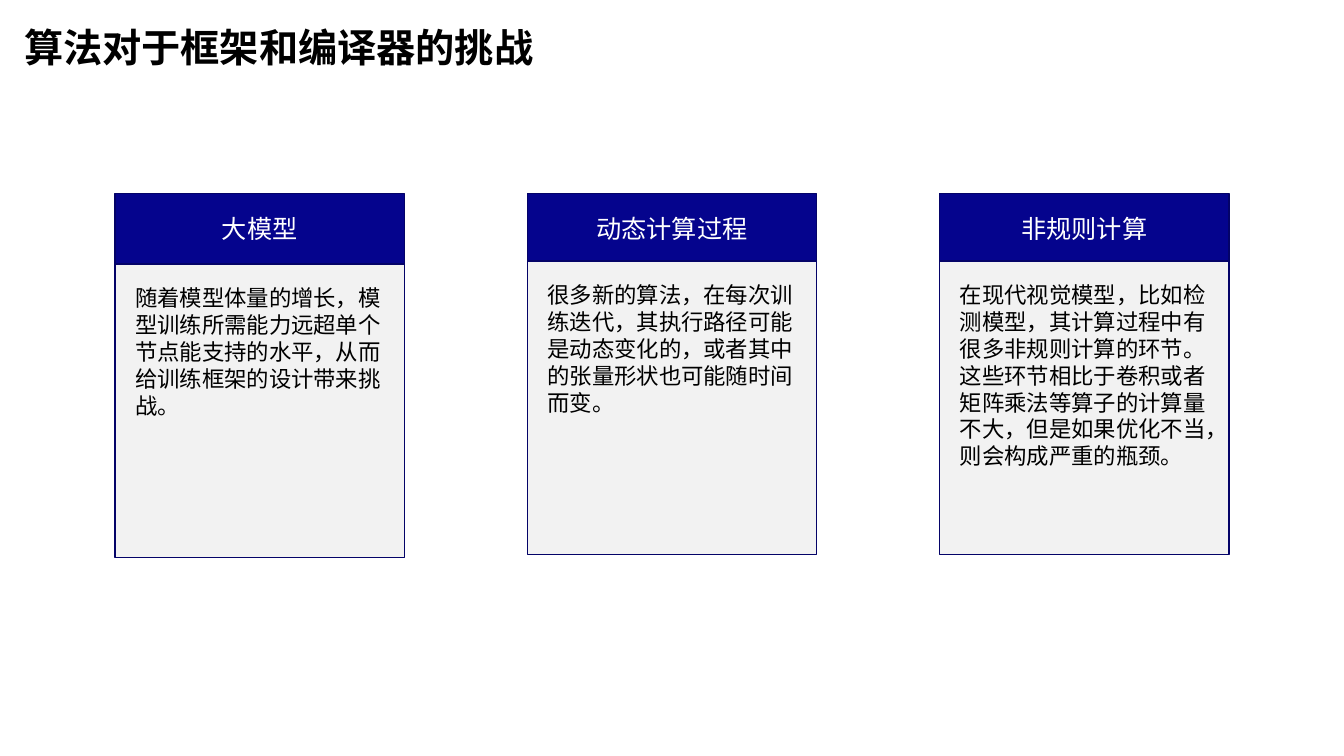
from lxml import etree
from pptx import Presentation
from pptx.dml.color import RGBColor
from pptx.enum.shapes import MSO_SHAPE
from pptx.enum.text import MSO_ANCHOR, MSO_AUTO_SIZE, PP_ALIGN
from pptx.oxml.ns import qn
from pptx.util import Pt

PX = 9144
RECT = MSO_SHAPE.RECTANGLE
TOP, MID, LOW = MSO_ANCHOR.TOP, MSO_ANCHOR.MIDDLE, MSO_ANCHOR.BOTTOM
LEFT, MIDST = PP_ALIGN.LEFT, PP_ALIGN.CENTER
FIXED = MSO_AUTO_SIZE.NONE
NAVY = RGBColor(0x05, 0x04, 0x8D)
EDGE = RGBColor(0x04, 0x03, 0x68)
PALE = RGBColor(0xF2, 0xF2, 0xF2)
WHITE = RGBColor(0xFF, 0xFF, 0xFF)
BLACK = RGBColor(0, 0, 0)
SANS = "Noto Sans CJK SC"


def write(shape, text, size=16, font="Arial", color=BLACK, bold=False,
          align=LEFT, anchor=TOP, inset=(10, 5), space=1.0):
    frame = shape.text_frame
    frame.word_wrap = True
    frame.auto_size = FIXED
    frame.vertical_anchor = anchor
    frame.margin_left = frame.margin_right = inset[0] * PX
    frame.margin_top = frame.margin_bottom = inset[1] * PX
    para = frame.paragraphs[0]
    para.alignment = align
    para.line_spacing = space
    run = para.add_run()
    run.text = text
    run.font.size = Pt(size)
    run.font.bold = bold
    run.font.color.rgb = color
    run.font.name = font
    etree.SubElement(run.font._element, qn("a:ea"), typeface=SANS)


def box(x, y, w, h, fill):
    shape = slide.shapes.add_shape(RECT, x * PX, y * PX, w * PX, h * PX)
    shape.shadow.inherit = False
    shape.fill.solid()
    shape.fill.fore_color.rgb = fill
    shape.line.color.rgb = EDGE
    shape.line.width = Pt(1)
    return shape


deck = Presentation()
deck.slide_width, deck.slide_height = 1333 * PX, 750 * PX
slide = deck.slides.add_slide(deck.slide_layouts[5])

title = slide.shapes.title
title.left, title.top = 14 * PX, 15 * PX
title.width, title.height = 1187 * PX, 60 * PX
write(title, "算法对于框架和编译器的挑战", size=28, bold=True, anchor=LOW, space=0.9)

cards = [
    ("大模型", 262,
     "随着模型体量的增长，模型训练所需能力远超单个节点能支持的水平，从而给训练框架的设计带来挑战。"),
    ("动态计算过程", 259,
     "很多新的算法，在每次训练迭代，其执行路径可能是动态变化的，或者其中的张量形状也可能随时间而变。"),
    ("非规则计算", 259,
     "在现代视觉模型，比如检测模型，其计算过程中有很多非规则计算的环节。"
     "这些环节相比于卷积或者矩阵乘法等算子的计算量不大，但是如果优化不当，则会构成严重的瓶颈。"),
]
for i, (name, top, text) in enumerate(cards):
    x = 114 + 409 * i
    head = box(x, 192, 287, 70, NAVY)
    write(head, name, size=18, color=WHITE, align=MIDST, anchor=MID)
    body = box(x, top, 287, 291, PALE)
    write(body, text, font=SANS, inset=(20, 20))

deck.save("out.pptx")
